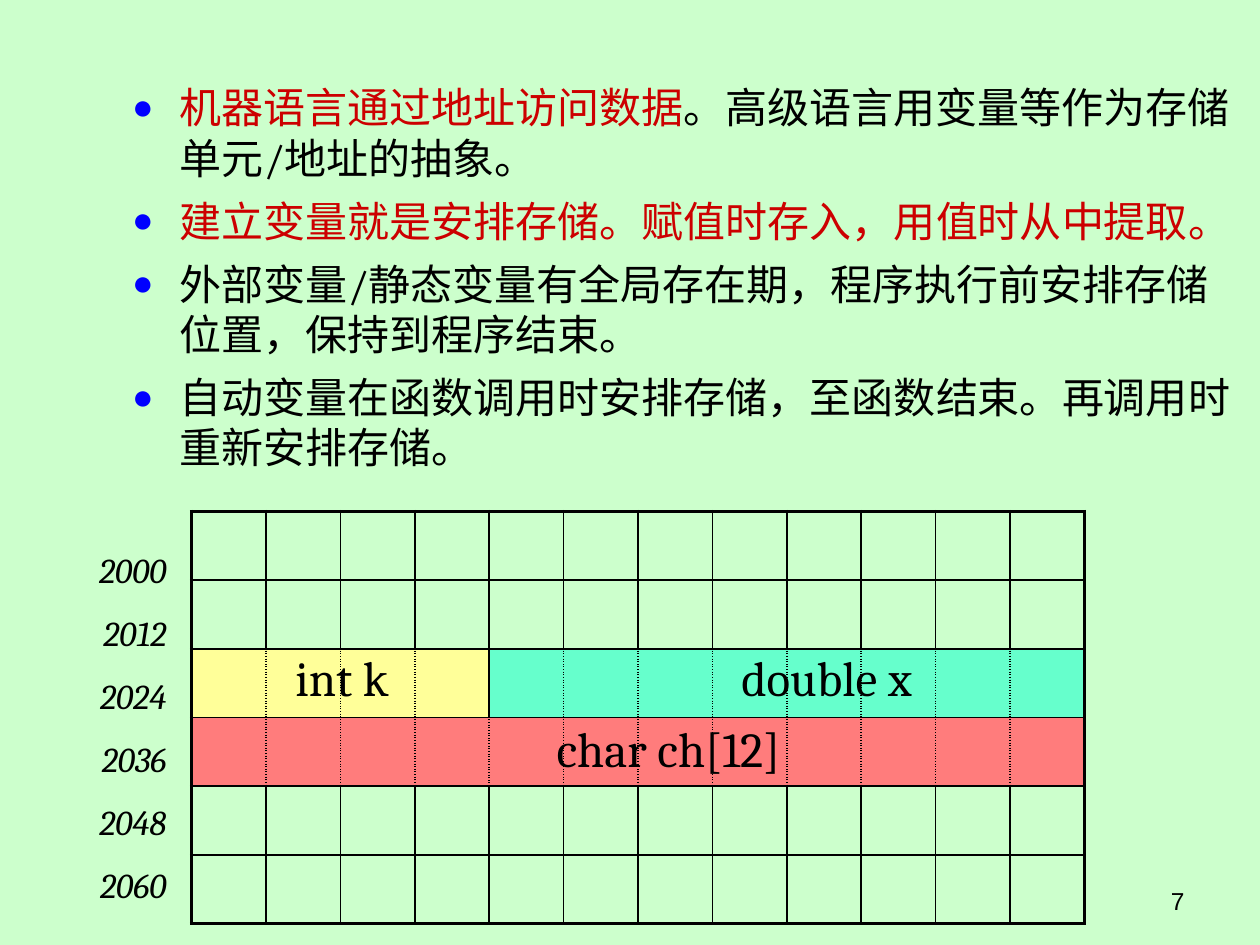
from lxml import etree
from pptx import Presentation
from pptx.dml.color import RGBColor
from pptx.enum.text import MSO_ANCHOR, PP_ALIGN
from pptx.oxml.ns import qn
from pptx.util import Inches, Pt

LEFT, CENTER, RIGHT = PP_ALIGN.LEFT, PP_ALIGN.CENTER, PP_ALIGN.RIGHT
TOP = MSO_ANCHOR.TOP

BLACK = RGBColor(0x00, 0x00, 0x00)
RED = RGBColor(0xCC, 0x00, 0x00)
BLUE = RGBColor(0x00, 0x00, 0xFF)
PALE_GREEN = RGBColor(0xCC, 0xFF, 0xCC)
YELLOW = RGBColor(0xFF, 0xFF, 0x99)
TURQUOISE = RGBColor(0x66, 0xFF, 0xCC)
CORAL = RGBColor(0xFF, 0x7C, 0x7C)

ROWS, COLUMNS = 6, 12
FIRST_ADDRESS = 2000
THIN, THICK = 1, 2.25

POINTS = [
    [("机器语言通过地址访问数据", RED), ("。高级语言用变量等作为存储单元/地址的抽象。", BLACK)],
    [("建立变量就是安排存储。赋值时存入，用值时从中提取。", RED)],
    [("外部变量/静态变量有全局存在期，程序执行前安排存储位置，保持到程序结束。", BLACK)],
    [("自动变量在函数调用时安排存储，至函数结束。再调用时重新安排存储。", BLACK)],
]

VARIABLES = [
    (2, 0, 4, YELLOW),
    (2, 4, 12, TURQUOISE),
    (3, 0, 12, CORAL),
]

VARIABLE_LABELS = [
    ("char ch[12]", (4.25, 5.65, 2.11, 0.57)),
    ("int k", (2.2, 5.09, 1.03, 0.57)),
    ("double x", (5.71, 5.09, 1.7, 0.57)),
]


def add_run(paragraph, text, size=24, font="Cambria", color=BLACK, italic=False):
    run = paragraph.add_run()
    run.text = text
    run.font.size = Pt(size)
    run.font.name = font
    run.font.color.rgb = color
    run.font.italic = italic


def add_text(slide, box, lines, align=LEFT, wrap=True, line_spacing=None, **run_format):
    shape = slide.shapes.add_textbox(*map(Inches, box))
    frame = shape.text_frame
    frame.word_wrap = wrap
    frame.vertical_anchor = TOP
    for index, line in enumerate(lines):
        paragraph = frame.paragraphs[0] if index == 0 else frame.add_paragraph()
        paragraph.alignment = align
        if line_spacing:
            paragraph.line_spacing = line_spacing
        add_run(paragraph, line, **run_format)


def add_bullet(paragraph, indent):
    properties = paragraph._p.get_or_add_pPr()
    properties.set("marL", str(indent))
    properties.set("indent", str(-indent))
    color = etree.SubElement(properties, qn("a:buClr"))
    etree.SubElement(color, qn("a:srgbClr"), val=str(BLUE))
    etree.SubElement(properties, qn("a:buSzPct"), val="85000")
    etree.SubElement(properties, qn("a:buFont"), typeface="Arial")
    etree.SubElement(properties, qn("a:buChar"), char="●")


def add_points(slide, box):
    frame = slide.shapes.add_textbox(*map(Inches, box)).text_frame
    frame.word_wrap = True
    for index, point in enumerate(POINTS):
        paragraph = frame.paragraphs[0] if index == 0 else frame.add_paragraph()
        add_bullet(paragraph, Inches(0.38))
        if index:
            paragraph.space_before = Pt(7.2)
        for text, color in point:
            add_run(paragraph, text, color=color)


def set_border(cell, side, width, dash="solid"):
    line = etree.SubElement(cell._tc.get_or_add_tcPr(), qn("a:ln" + side), w=str(Pt(width)))
    fill = etree.SubElement(line, qn("a:solidFill"))
    etree.SubElement(fill, qn("a:srgbClr"), val=str(BLACK))
    etree.SubElement(line, qn("a:prstDash"), val=dash)


def find_variable(row, column):
    for variable in VARIABLES:
        variable_row, start, end, _ = variable
        if row == variable_row and start <= column < end:
            return variable
    return None


def format_cell(cell, row, column):
    variable = find_variable(row, column)
    for side, edge, neighbour in (("L", 0, column - 1), ("R", COLUMNS - 1, column + 1)):
        inside = variable is not None and variable == find_variable(row, neighbour)
        set_border(cell, side, THICK if column == edge else THIN, "sysDot" if inside else "solid")
    set_border(cell, "T", THICK if row == 0 else THIN)
    set_border(cell, "B", THICK if row == ROWS - 1 else THIN)
    if variable:
        cell.fill.solid()
        cell.fill.fore_color.rgb = variable[3]
    else:
        cell.fill.background()


def add_memory_grid(slide, box):
    left, top, width, height = map(Inches, box)
    table = slide.shapes.add_table(ROWS, COLUMNS, left, top, width, height).table
    table.first_row = False
    table.horz_banding = False
    for row in range(ROWS):
        for column in range(COLUMNS):
            format_cell(table.cell(row, column), row, column)


def add_addresses(slide, box):
    addresses = [str(FIRST_ADDRESS + row * COLUMNS) for row in range(ROWS)]
    add_text(slide, box, addresses, align=RIGHT, line_spacing=1.5, size=20, italic=True)


def main():
    presentation = Presentation()
    presentation.slide_width = Inches(10)
    presentation.slide_height = Inches(7.5)
    slide = presentation.slides.add_slide(presentation.slide_layouts[6])
    slide.background.fill.solid()
    slide.background.fill.fore_color.rgb = PALE_GREEN

    add_memory_grid(slide, (1.52, 4.06, 7.09, 3.27))
    add_points(slide, (0.95, 0.6, 9.05, 3.1))
    for text, box in VARIABLE_LABELS:
        add_text(slide, box, [text], align=CENTER, wrap=False, size=28)
    add_addresses(slide, (0.55, 4.14, 0.87, 3.1))
    add_text(slide, (7.17, 6.98, 2.33, 0.37), ["7"], align=RIGHT, size=14, font="Arial")

    presentation.save("out.pptx")


if __name__ == "__main__":
    main()
